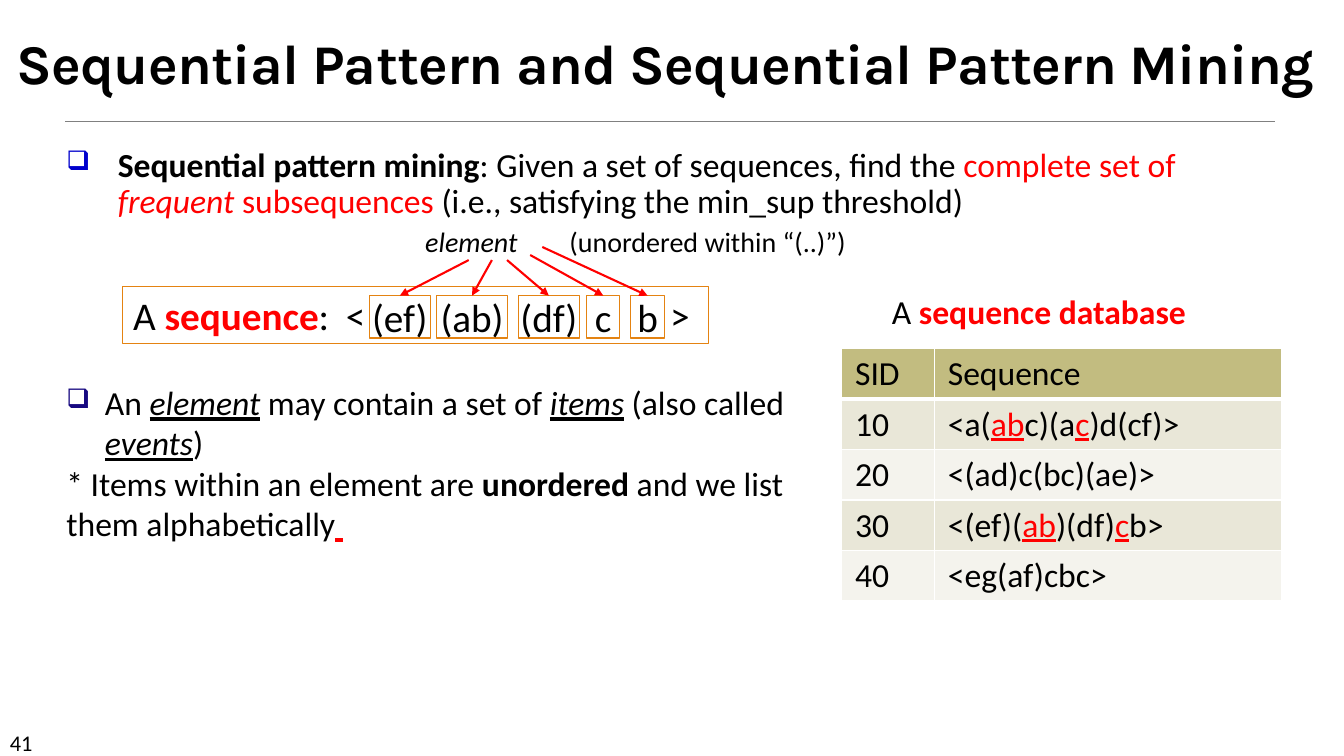
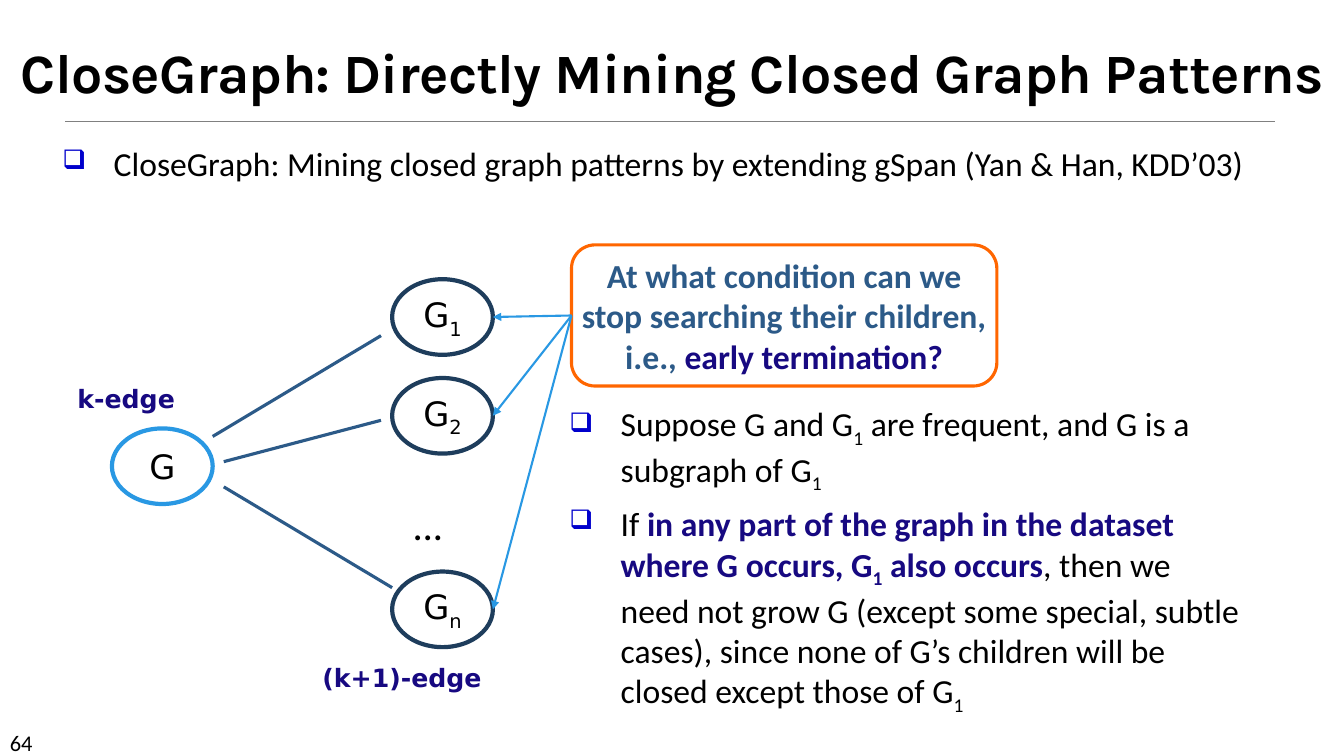
"""Build two lecture slides on sequential and closed graph pattern mining."""
from lxml.etree import SubElement
from pptx import Presentation
from pptx.dml.color import RGBColor
from pptx.enum.shapes import MSO_CONNECTOR, MSO_SHAPE as Preset
from pptx.enum.text import MSO_ANCHOR as Anchor, MSO_AUTO_SIZE, PP_ALIGN as Align
from pptx.oxml.ns import qn
from pptx.util import Inches, Pt

BLACK = RGBColor(0x00, 0x00, 0x00)
WHITE = RGBColor(0xFF, 0xFF, 0xFF)
GRAY = RGBColor(0x80, 0x80, 0x80)
RED = RGBColor(0xFF, 0x00, 0x00)
BLUE = RGBColor(0x00, 0x00, 0xCC)
NAVY = RGBColor(0x17, 0x09, 0x81)
SKY = RGBColor(0x29, 0x98, 0xE3)
SLATE = RGBColor(0x2C, 0x5A, 0x88)
DEEP = RGBColor(0x1E, 0x3D, 0x5C)
AMBER = RGBColor(0xE4, 0x83, 0x12)
ORANGE = RGBColor(0xFF, 0x66, 0x00)
OLIVE = RGBColor(0xC2, 0xBC, 0x80)
BANDS = (RGBColor(0xF4, 0xF3, 0xED), RGBColor(0xE9, 0xE7, 0xD8))

COLUMNS, ROWS = 80, 45
BODY, HEADING, GRAPH = "Calibri", "Karla", "DejaVu Sans"

BOLD = {"bold": True}
ITALIC = {"italic": True}
TERM = {"italic": True, "underline": True}
KEY = {"bold": True, "color": RED}
MARK = {"underline": True, "color": RED}
CLAIM = {"bold": True, "color": NAVY}
SUB = {"sub": True}


class Lecture:
    """Hold the deck's style and the current slide, placed on a grid."""

    def __init__(self):
        self.deck = Presentation()
        self.deck.slide_width = Inches(13.33)
        self.deck.slide_height = Inches(7.5)
        self.page = None

    def place(self, *lengths):
        """Turn alternating columns and rows into slide lengths."""
        units = (self.deck.slide_width / COLUMNS, self.deck.slide_height / ROWS)
        return [int(length * units[i % 2]) for i, length in enumerate(lengths)]

    def start(self, title, number, left, top, width, height, size=40):
        """Add a slide with its title, rule and page number."""
        self.page = self.deck.slides.add_slide(self.deck.slide_layouts[5])
        box = self.page.shapes.title
        box.left, box.top, box.width, box.height = self.place(left, top, width, height)
        frame = box.text_frame
        frame.auto_size = MSO_AUTO_SIZE.NONE
        frame.vertical_anchor = Anchor.BOTTOM
        self.set_text(frame, [[(title, BOLD)]], size, HEADING, align=Align.CENTER, spacing=0.85)
        frame.paragraphs[0].runs[0]._r.get_or_add_rPr().set("spc", "-50")
        self.line((3.9, 7.2), (75.9, 7.2), GRAY, 0.5)
        self.label(str(number), 0, 43.08, 7, 1.8, size=16)

    def set_text(self, frame, paragraphs, size=24, font=BODY, color=BLACK,
                 align=Align.LEFT, spacing=None, gap=0):
        """Fill a frame with paragraphs made of plain or styled spans."""
        frame.word_wrap = True
        for index, spans in enumerate(paragraphs):
            para = frame.add_paragraph() if index else frame.paragraphs[0]
            para.alignment = align
            if spacing:
                para.line_spacing = spacing
            if index and gap:
                para.space_before = Pt(gap)
            for span in [spans] if isinstance(spans, str) else spans:
                text, style = (span, {}) if isinstance(span, str) else span
                run = para.add_run()
                run.text = text
                run.font.size, run.font.name = Pt(size), font
                run.font.bold = style.get("bold", False)
                run.font.italic = style.get("italic", False)
                run.font.underline = style.get("underline", False)
                run.font.color.rgb = style.get("color", color)
                if style.get("sub"):
                    run._r.get_or_add_rPr().set("baseline", "-25000")

    def label(self, text, left, top, width, height, **style):
        """Add a single-line text box."""
        frame = self.page.shapes.add_textbox(*self.place(left, top, width, height)).text_frame
        self.set_text(frame, [text], **style)
        frame.word_wrap = False

    def bullets(self, paragraphs, left, top, width, height,
                indent=3.06, color=BLUE, plain=0, **style):
        """Add a bulleted text box whose last `plain` paragraphs have no bullet."""
        frame = self.page.shapes.add_textbox(*self.place(left, top, width, height)).text_frame
        self.set_text(frame, paragraphs, **style)
        hang = self.place(indent)[0]
        for para in frame.paragraphs[:len(paragraphs) - plain]:
            props = para._p.get_or_add_pPr()
            props.set("marL", str(hang))
            props.set("indent", str(-hang))
            tint = SubElement(props, qn("a:buClr"))
            SubElement(tint, qn("a:srgbClr")).set("val", str(color))
            SubElement(props, qn("a:buSzPct")).set("val", "80000")
            SubElement(props, qn("a:buChar")).set("char", "❑")

    def shape(self, preset, paragraphs, left, top, width, height,
              line, weight, fill=None, margin=0.0, **style):
        """Add an outlined shape with text in its middle."""
        shape = self.page.shapes.add_shape(preset, *self.place(left, top, width, height))
        shape.shadow.inherit = False
        shape.line.color.rgb, shape.line.width = line, Pt(weight)
        if fill is None:
            shape.fill.background()
        else:
            shape.fill.solid()
            shape.fill.fore_color.rgb = fill
        frame = shape.text_frame
        frame.vertical_anchor = Anchor.MIDDLE
        frame.margin_left, frame.margin_top, frame.margin_right, frame.margin_bottom = (
            self.place(margin, 0, margin, 0))
        self.set_text(frame, paragraphs, **{"align": Align.CENTER, **style})
        frame.word_wrap = margin > 0
        return shape

    def line(self, start, end, color, weight, arrow=False, source=None, target=None):
        """Draw a straight line, joined to a source's left or a target's top."""
        line = self.page.shapes.add_connector(
            MSO_CONNECTOR.STRAIGHT, *self.place(*start, *end))
        if source is not None:
            line.begin_connect(source, 1)
        if target is not None:
            line.end_connect(target, 0)
        line.line.color.rgb, line.line.width = color, Pt(weight)
        props = line._element.spPr
        if arrow:
            SubElement(props.find(qn("a:ln")), qn("a:tailEnd")).set("type", "triangle")
        SubElement(props, qn("a:effectLst"))

    def table(self, rows, left, top, widths, height):
        """Add a banded table with white borders under an olive header."""
        table = self.page.shapes.add_table(
            len(rows), len(widths),
            *self.place(left, top, sum(widths), height * len(rows))).table
        for column, width in zip(table.columns, widths):
            column.width = self.place(width)[0]
        for r, row in enumerate(rows):
            for c, text in enumerate(row):
                cell = table.cell(r, c)
                for side in "LRTB":
                    thick = (r, side) in ((0, "B"), (1, "T"))
                    border = SubElement(cell._tc.get_or_add_tcPr(), qn("a:ln" + side))
                    border.set("w", str(Pt(3 if thick else 1)))
                    paint = SubElement(border, qn("a:solidFill"))
                    SubElement(paint, qn("a:srgbClr")).set("val", str(WHITE))
                cell.fill.solid()
                cell.fill.fore_color.rgb = BANDS[r % 2] if r else OLIVE
                cell.margin_left = cell.margin_right = self.place(0.8)[0]
                self.set_text(cell.text_frame, [text])


def sequence_slide(lecture):
    """Build the slide on sequential pattern mining."""
    lecture.start("Sequential Pattern and Sequential Pattern Mining", 41, 0, 2.2, 79.2, 3.8)
    lecture.bullets(
        [[("Sequential pattern mining", BOLD), ": Given a set of sequences, find the ",
          ("complete set of ", {"color": RED}), ("frequent ", {**ITALIC, "color": RED}),
          ("subsequences ", {"color": RED}), "(i.e., satisfying the min_sup threshold)"]],
        3.36, 8.52, 74, 5.34, spacing=0.9)
    lecture.label(["A ", ("sequence database", KEY)], 52.5, 17.04, 19.4, 3)
    lecture.bullets(
        [["An ", ("element", TERM), " may contain a set of ", ("items", TERM),
          " (also called ", ("events", TERM), ")"],
         ["* Items within an element are ", ("unordered", BOLD),
          " and we list them alphabetically", (" ", {**TERM, "color": RED})]],
        3.36, 22.44, 48, 10.32, indent=2.3, color=NAVY, plain=1)

    lecture.shape(Preset.RECTANGLE, [["A ", ("sequence", KEY), ":"]], 7.32, 17.04, 34.86, 3.42,
                  AMBER, 0.75, margin=0.6, size=28, align=Align.LEFT)
    for bracket, left in (("<", 20), (">", 39.3)):
        lecture.label(bracket, left, 17.04, 2.2, 3.42, size=28, align=Align.CENTER)
    elements = (("(ef)", 22, 3.6, (27.9, 15.48)), ("(ab)", 26, 4.2, (29.28, 15.48)),
                ("(df)", 30.84, 3.66, (30.18, 15.48)), ("c", 34.92, 1.98, (31.56, 15.18)),
                ("b", 37.56, 1.98, (32.28, 14.7)))
    for text, left, width, start in elements:
        element = lecture.shape(Preset.RECTANGLE, [text], left, 17.6, width, 2.52,
                                AMBER, 0.75, size=28)
        lecture.line(start, (left + width / 2, 17.6), RED, 1.5, arrow=True, target=element)
    lecture.label([("element", ITALIC)], 24.72, 13.08, 7, 2.64, size=20)
    lecture.label("(unordered within “(..)”)", 33.3, 13.08, 18, 2.64, size=20)

    lecture.table(
        [("SID", "Sequence"),
         ("10", ["<a(", ("ab", MARK), "c)(a", ("c", MARK), ")d(cf)>"]),
         ("20", "<(ad)c(bc)(ae)>"),
         ("30", ["<(ef)(", ("ab", MARK), ")(df)", ("c", MARK), "b>"]),
         ("40", "<eg(af)cbc>")],
        50.1, 20.76, (5.52, 20.64), 3)


def graph_slide(lecture):
    """Build the slide on closed graph pattern mining."""
    lecture.start("CloseGraph: Directly Mining Closed Graph Patterns", 64,
                  0.1, 1, 79.8, 5.54, size=39.6)
    lecture.bullets(
        ["CloseGraph: Mining closed graph patterns by extending gSpan (Yan & Han, KDD’03)"],
        3.12, 8.22, 71.58, 3.96)
    callout = lecture.shape(
        Preset.ROUNDED_RECTANGLE,
        [[("At what condition can we", BOLD)], [("stop searching their children,", BOLD)],
         [("i.e., ", BOLD), ("early termination?", CLAIM)]],
        34.02, 14.58, 25.32, 8.4, ORANGE, 2.25, fill=WHITE, color=SLATE)

    width, height, left = 6, 4.5, 23.34
    lecture.shape(Preset.OVAL, ["G"], 6.66, 25.5, width, height, SKY, 3, fill=WHITE, font=GRAPH)
    for index, top in (("1", 16.62), ("2", 22.5), ("n", 34.02)):
        lecture.shape(Preset.OVAL, [["G", (index, SUB)]], left, top, width, height,
                      DEEP, 3, fill=WHITE, font=GRAPH)
        lecture.line((34.02, 18.78), (left + width, top + height / 2), SKY, 1.5,
                     arrow=True, source=callout)
    for start, end in (((12.66, 25.98), (22.68, 19.98)), ((13.32, 27.48), (22.68, 25.02)),
                       ((13.32, 28.98), (23.34, 34.98))):
        lecture.line(start, end, SLATE, 2.25)
    lecture.label("…", 24, 29.52, 3.12, 3.42, size=28, font="Lato")
    lecture.label([("k-edge", CLAIM)], 4.02, 22.5, 7.08, 2.4, size=18, font=GRAPH)
    lecture.label([("(k+1)-edge", CLAIM)], 18.6, 39.12, 14.7, 2.4, size=18, font=GRAPH)

    lecture.bullets(
        [["Suppose G and G", ("1", SUB), " are frequent, and G is a subgraph of G", ("1", SUB)],
         ["If ", ("in any part of the graph in the dataset where G occurs, G", CLAIM),
          ("1", {**CLAIM, **SUB}), (" also occurs", CLAIM),
          ", then we need not grow G (except some special, subtle cases), "
          "since none of G’s children will be closed except those of G", ("1", SUB)]],
        33.3, 23.7, 41.4, 17.76, gap=6)


def main():
    """Build and save the deck."""
    lecture = Lecture()
    sequence_slide(lecture)
    graph_slide(lecture)
    lecture.deck.save("out.pptx")


if __name__ == "__main__":
    main()
